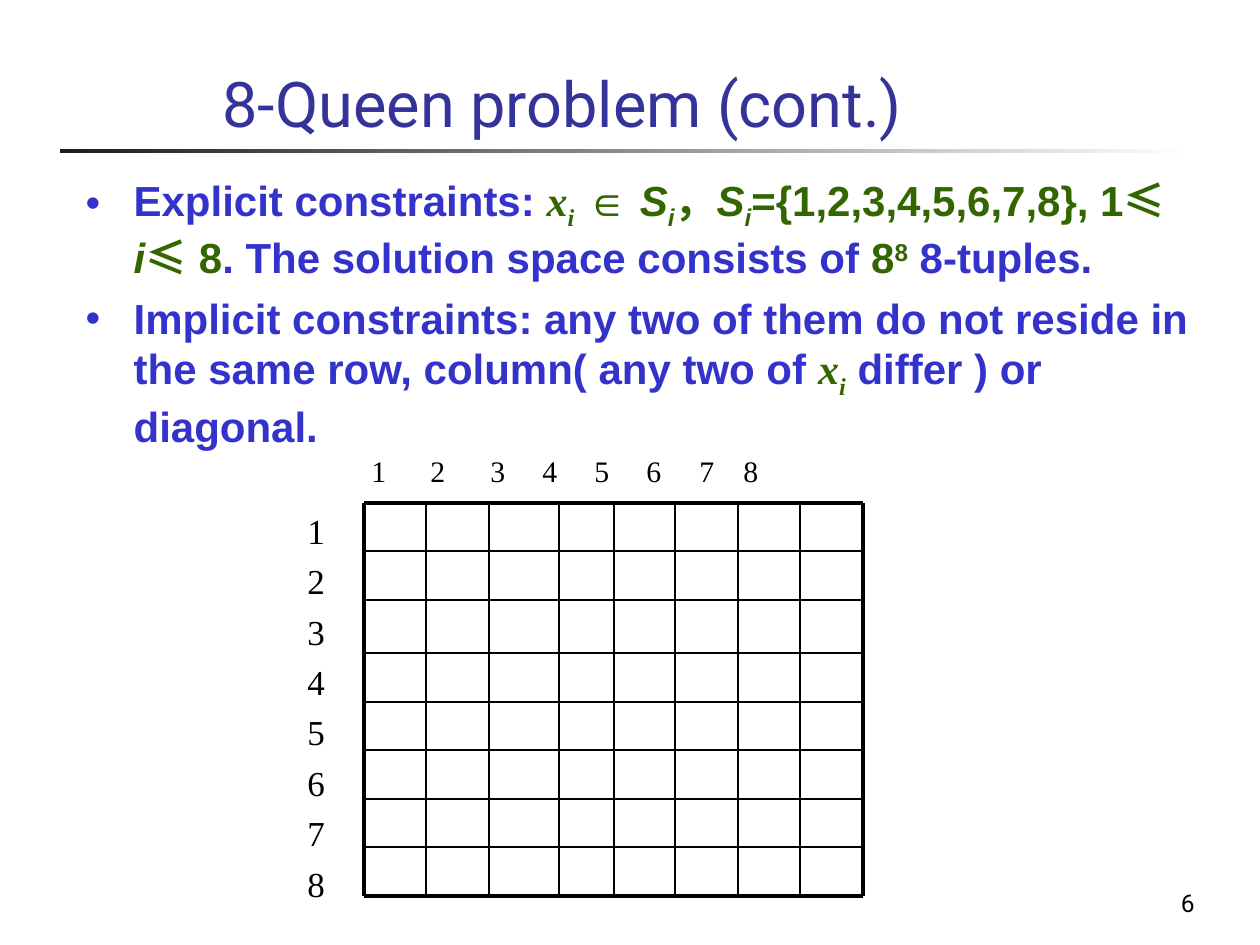
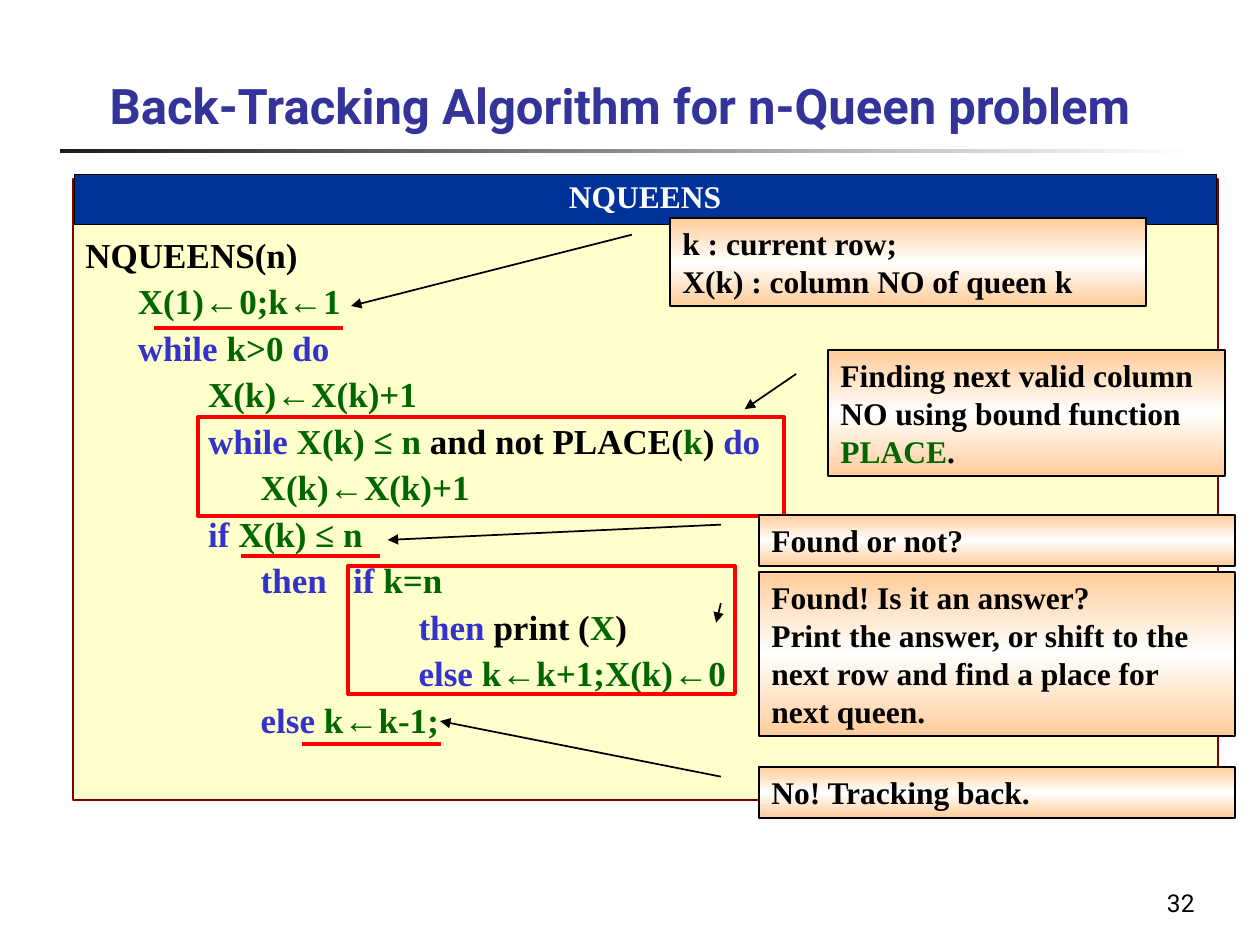
from copy import deepcopy
from itertools import groupby

from lxml.etree import SubElement
from pptx import Presentation
from pptx.dml.color import RGBColor
from pptx.enum.shapes import MSO_CONNECTOR, MSO_SHAPE
from pptx.enum.text import MSO_ANCHOR as ANCHOR, MSO_AUTO_SIZE, PP_ALIGN as ALIGN
from pptx.oxml.ns import qn
from pptx.util import Pt

PX = 914400 / 126
BLACK = RGBColor(0, 0, 0)
WHITE = RGBColor(255, 255, 255)
CHARCOAL = RGBColor(0x1C, 0x1C, 0x1C)
TITLE_BLUE = RGBColor(0x33, 0x33, 0x99)
BLUE = RGBColor(0x33, 0x33, 0xCC)
HEADER_BLUE = RGBColor(0x00, 0x33, 0x99)
MATH_GREEN = RGBColor(0x33, 0x66, 0x00)
GREEN = RGBColor(0x00, 0x66, 0x00)
CREAM = RGBColor(0xFF, 0xFF, 0xCC)
PEACH = RGBColor(0xFF, 0xCC, 0x99)
MAROON = RGBColor(0x80, 0, 0)
RED = RGBColor(0xFF, 0, 0)
SANS, SERIF, HEADING, CJK = "Arial", "Times New Roman", "Roboto", "Noto Sans CJK SC"


def emu(*lengths):
    return [round(length * PX) for length in lengths]


# Text helpers
def set_font(font, size=None, name=None, color=None, bold=None):
    if size:
        font.size = Pt(size)
    if name:
        font.name = name
    if color is not None:
        font.color.rgb = color
    if bold is not None:
        font.bold = bold


def add_run(paragraph, text, color=None, name=None, italic=None, baseline=None):
    run = paragraph.add_run()
    run.text = text
    set_font(run.font, name=name, color=color)
    if italic:
        run.font.italic = True
    properties = run.font._element
    if baseline:
        properties.set("baseline", str(baseline * 1000))
    if name == CJK:
        SubElement(properties, qn("a:ea"), typeface=CJK)


def paragraphs(frame, count):
    return [frame.paragraphs[0]] + [frame.add_paragraph() for _ in range(count - 1)]


def add_tabs(paragraph, stops):
    tabs = SubElement(paragraph._p.get_or_add_pPr(), qn("a:tabLst"))
    for stop in emu(*stops):
        SubElement(tabs, qn("a:tab"), pos=str(stop), algn="l")


# Shape helpers
def add_panel(slide, box, fill=None, line=None, width=1, kind=MSO_SHAPE.RECTANGLE):
    panel = slide.shapes.add_shape(kind, *emu(*box))
    panel.shadow.inherit = False
    if fill is None:
        panel.fill.background()
    else:
        panel.fill.solid()
        panel.fill.fore_color.rgb = fill
    if line is None:
        panel.line.fill.background()
    else:
        panel.line.color.rgb = line
        panel.line.width = Pt(width)
    panel.text_frame.word_wrap = True
    panel.text_frame.vertical_anchor = ANCHOR.TOP
    return panel


def add_gradient(shape, colors, angle):
    shape.fill.gradient()
    shape.fill.gradient_angle = angle
    stop_list = shape._element.spPr.find(qn("a:gradFill")).find(qn("a:gsLst"))
    for _ in colors[2:]:
        stop_list.append(deepcopy(stop_list[0]))
    for i, (stop, color) in enumerate(zip(shape.fill.gradient_stops, colors)):
        stop.color.rgb = color
        stop.position = i / (len(colors) - 1)


def add_line(slide, x1, y1, x2, y2, color, width):
    line = slide.shapes.add_connector(MSO_CONNECTOR.STRAIGHT, *emu(x1, y1, x2, y2))
    line.line.color.rgb = color
    line.line.width = Pt(width)
    SubElement(line._element.spPr, qn("a:effectLst"))


# Parts shared by the slides
def place(placeholder, box, anchor):
    placeholder.left, placeholder.top, placeholder.width, placeholder.height = emu(*box)
    frame = placeholder.text_frame
    frame.word_wrap = True
    frame.auto_size = MSO_AUTO_SIZE.NONE
    frame.vertical_anchor = anchor
    return frame


def add_frame(prs, layout, title, box, size, bold, number):
    slide = prs.slides.add_slide(prs.slide_layouts[layout])
    rule = add_panel(slide, (60, 149, 1134, 4))
    add_gradient(rule, [CHARCOAL, WHITE], 0)

    heading = place(slide.shapes.title, box, ANCHOR.BOTTOM).paragraphs[0]
    heading.alignment = ALIGN.LEFT
    set_font(heading.font, size, HEADING, TITLE_BLUE, bold)
    add_run(heading, title)

    page_box = slide.shapes.add_textbox(*emu(945, 861, 262, 63)).text_frame
    page_box.word_wrap = True
    page_box.vertical_anchor = ANCHOR.BOTTOM
    page = page_box.paragraphs[0]
    page.alignment = ALIGN.RIGHT
    set_font(page.font, 14, HEADING, BLACK)
    add_run(page, str(number))
    return slide


# Constraints slide
def variable(name, font):
    return [(name, MATH_GREEN, font, True), ("i", MATH_GREEN, font, True, -25)]


CONSTRAINTS = [
    [("Explicit constraints: ",), *variable("x", SERIF), (" ∈ ", MATH_GREEN),
     *variable("S", SANS), ("，", MATH_GREEN, CJK), *variable("S", SANS),
     ("={1,2,3,4,5,6,7,8}, 1", MATH_GREEN), ("≤ ", MATH_GREEN, CJK),
     ("i", MATH_GREEN, SANS, True), ("≤", MATH_GREEN, CJK), (" 8", MATH_GREEN),
     (". The solution space consists of ",), ("8", MATH_GREEN),
     ("8", MATH_GREEN, SANS, False, 30), (" 8-tuples.",)],
    [("Implicit constraints: any two of them do not reside in the same row, "
      "column( any two of ",), *variable("x", SERIF), (" differ ) or diagonal.",)],
]


def fill_constraints(slide, box):
    frame = place(slide.placeholders[1], box, ANCHOR.TOP)
    items = paragraphs(frame, len(CONSTRAINTS))
    for i, (item, runs) in enumerate(zip(items, CONSTRAINTS)):
        properties = item._p.get_or_add_pPr()
        indent, = emu(48)
        properties.set("marL", str(indent))
        properties.set("indent", str(-indent))
        bullet_color = SubElement(properties, qn("a:buClr"))
        SubElement(bullet_color, qn("a:srgbClr"), val=str(BLUE))
        SubElement(properties, qn("a:buFont"), typeface=SANS)
        SubElement(properties, qn("a:buChar"), char="•")
        item.space_before = Pt(6 if i else 0)
        set_font(item.font, 24, SANS, BLUE, True)
        for run in runs:
            add_run(item, *run)


def add_board(slide, left, top):
    columns = [0, 62, 125, 195, 250, 311, 374, 436, 499]
    rows = [0, 48, 97, 150, 199, 247, 296, 344, 393]
    right, bottom = left + columns[-1], top + rows[-1]
    for y in rows:
        add_line(slide, left, top + y, right, top + y, BLACK, 2.25 if y in (0, rows[-1]) else 1)
    for x in columns:
        add_line(slide, left + x, top, left + x, bottom, BLACK, 2.25 if x in (0, columns[-1]) else 1)

    # Column numbers
    header = add_panel(slide, (left - 20, top - 52, 538, 50), WHITE)
    numbers = header.text_frame.paragraphs[0]
    add_tabs(numbers, [15, 74, 134, 186, 238, 290, 343, 387])
    numbers.alignment = ALIGN.LEFT
    numbers.line_spacing = 0.9
    set_font(numbers.font, 17, SERIF, BLACK)
    add_run(numbers, "".join(f"\t{n}" for n in range(1, 9)))

    # Row numbers
    side = add_panel(slide, (left - 69, top, 59, 422), WHITE)
    for n, label in enumerate(paragraphs(side.text_frame, 8), 1):
        label.alignment = ALIGN.LEFT
        label.line_spacing = 1.2 if n > 1 else 1.0
        set_font(label.font, 20, SERIF, BLACK)
        add_run(label, str(n))


def build_constraints_slide(prs):
    slide = add_frame(prs, 1, "8-Queen problem (cont.)", (210, 21, 990, 125), 36, False, 6)
    fill_constraints(slide, (73, 168, 1134, 677))
    add_board(slide, 364, 503)


# Algorithm slide: leading spaces and coloured pieces of each code line
CODE = [
    (0, [("NQUEENS(n)", BLACK)]),
    (6, [("X(1)←0;k←1", GREEN)]),
    (6, [("while ", BLUE), ("k>0 ", GREEN), ("do", BLUE)]),
    (14, [("X(k)←X(k)+1", GREEN)]),
    (14, [("while ", BLUE), ("X(k) ≤ n", GREEN), (" and not PLACE(", BLACK),
          ("k", GREEN), (") ", BLACK), ("do", BLUE)]),
    (20, [("X(k)←X(k)+1", GREEN)]),
    (14, [("if ", BLUE), ("X(k) ≤ n", GREEN)]),
    (20, [("then   if ", BLUE), ("k=n", GREEN)]),
    (38, [("then", BLUE), (" print (", BLACK), ("X", GREEN), (")", BLACK)]),
    (38, [("else ", BLUE), ("k←k+1;X(k)←0", GREEN)]),
    (20, [("else", BLUE), (" k←k-1;", GREEN)]),
]

# Box, arrow (y1, x1 are shared; y2, x2 here) and lines of each callout
CALLOUTS = [
    ((670, 218, 476, 88), (1.0, -0.67),
     [[("k : current row;",)], [("X(k) : column NO of queen k",)]]),
    ((828, 350, 397, 126), (0.47, -0.21),
     [[("Finding next valid column NO using bound function ",), ("PLACE", GREEN), (".",)]]),
    ((759, 572, 476, 164), (0.31, -0.09),
     [[("Found! Is it an answer?",)],
      [("Print the answer, or shift to the next row and find a place for next queen.",)]]),
    ((759, 515, 476, 51), (0.49, -0.78), [[("Found or not?",)]]),
    ((759, 767, 476, 51), (-0.9, -0.67), [[("No! Tracking back.",)]]),
]
UNDERLINES = [(154, 328, 189), (241, 556, 139), (302, 744, 139)]
OUTLINES = [(198, 417, 586, 99), (348, 566, 387, 128)]


def add_code(slide, box):
    frame = add_panel(slide, box, CREAM, MAROON, 0.75).text_frame
    frame.vertical_anchor = ANCHOR.MIDDLE
    for i, (line, (spaces, pieces)) in enumerate(zip(paragraphs(frame, len(CODE)), CODE)):
        line.alignment = ALIGN.LEFT
        line.line_spacing = 0.9
        line.space_before = Pt(5 if i else 0)
        set_font(line.font, 20, SERIF, BLACK, True)
        if spaces:
            add_run(line, " " * spaces)
        for text, color in pieces:
            for is_arrow, part in groupby(text, lambda letter: letter == "←"):
                add_run(line, "".join(part), color, SANS if is_arrow else None)


def add_code_header(slide, box):
    table = slide.shapes.add_table(1, 1, *emu(*box)).table
    cell = table.cell(0, 0)
    properties = cell._tc.get_or_add_tcPr()
    for side in ("lnL", "lnR", "lnT", "lnB"):
        border = SubElement(properties, qn(f"a:{side}"), w=str(Pt(0.45)))
        border_fill = SubElement(border, qn("a:solidFill"))
        SubElement(border_fill, qn("a:srgbClr"), val=str(BLACK))
    cell.fill.solid()
    cell.fill.fore_color.rgb = HEADER_BLUE
    name = cell.text_frame.paragraphs[0]
    name.alignment = ALIGN.CENTER
    set_font(name.font, 18, SERIF, WHITE, True)
    add_run(name, "NQUEENS", WHITE)


def add_callout(slide, box, target, lines):
    callout = add_panel(slide, box, PEACH, BLACK, 1, MSO_SHAPE.LINE_CALLOUT_1)
    for i, value in enumerate((0.19, -0.08, *target)):
        callout.adjustments[i] = value
    add_gradient(callout, [PEACH, WHITE, PEACH], 90)
    SubElement(callout.line._get_or_add_ln(), qn("a:tailEnd"), type="triangle")
    for note, runs in zip(paragraphs(callout.text_frame, len(lines)), lines):
        note.alignment = ALIGN.LEFT
        set_font(note.font, 18, SERIF, BLACK, True)
        for text, *color in runs:
            add_run(note, text, *(color or [BLACK]))


def build_algorithm_slide(prs):
    slide = add_frame(prs, 5, "Back-Tracking Algorithm for n-Queen problem",
                      (97, 16, 1096, 125), 28, True, 32)
    add_code(slide, (73, 179, 1145, 621))
    add_code_header(slide, (74, 174, 1142, 50))
    for box in OUTLINES:
        add_panel(slide, box, None, RED, 2.25)
    for callout in CALLOUTS:
        add_callout(slide, *callout)
    for left, y, width in UNDERLINES:
        add_line(slide, left, y, left + width, y, RED, 2.25)


def main():
    prs = Presentation()
    prs.slide_width, prs.slide_height = emu(1260, 945)
    build_constraints_slide(prs)
    build_algorithm_slide(prs)
    prs.save("out.pptx")


if __name__ == "__main__":
    main()
